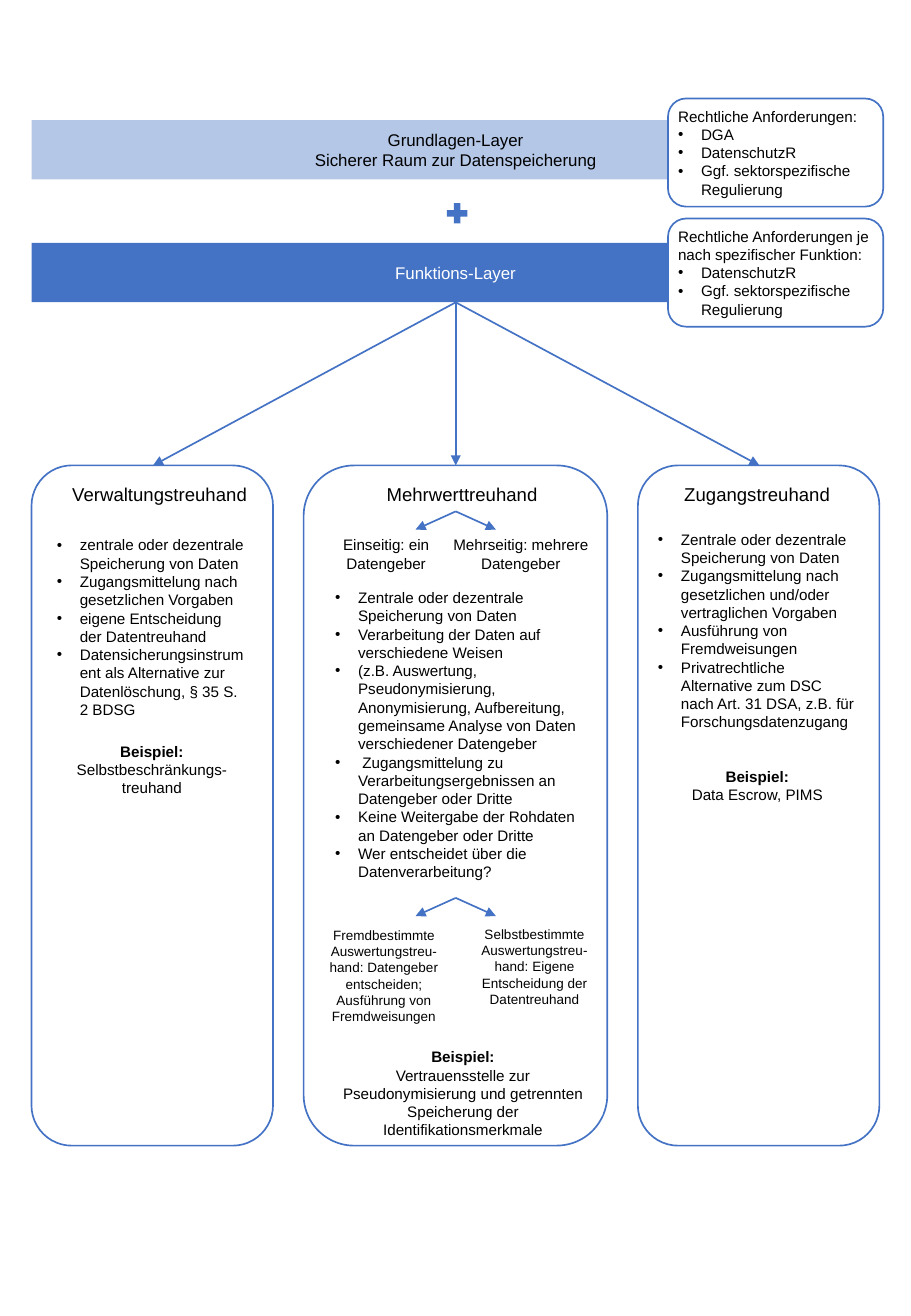
from dataclasses import dataclass
from typing import Optional

from lxml import etree
from pptx import Presentation
from pptx.dml.color import RGBColor
from pptx.enum.shapes import MSO_CONNECTOR, MSO_SHAPE
from pptx.enum.text import MSO_ANCHOR, PP_ALIGN
from pptx.oxml.ns import qn
from pptx.util import Cm, Pt

ROUNDED, RECTANGLE, PLUS = MSO_SHAPE.ROUNDED_RECTANGLE, MSO_SHAPE.RECTANGLE, MSO_SHAPE.MATH_PLUS
STRAIGHT = MSO_CONNECTOR.STRAIGHT
LEFT, CENTER = PP_ALIGN.LEFT, PP_ALIGN.CENTER
TOP, MIDDLE = MSO_ANCHOR.TOP, MSO_ANCHOR.MIDDLE

BLUE, LIGHT_BLUE, WHITE, BLACK = "4472C4", "B4C7E7", "FFFFFF", "000000"
FONT = "Arial"
INDENT = Cm(0.48)
MID_X = 9.53
CARD_TOP = 9.73
TITLE_TOP = 9.96


@dataclass
class Run:
    text: str
    bold: bool = False


@dataclass
class Para:
    runs: list[Run]
    align: PP_ALIGN = CENTER
    bullet: bool = False
    before: float = 0
    after: float = 0


@dataclass
class Box:
    """Area is left, top, width, height in cm; no shape means a text box."""
    area: tuple[float, float, float, float]
    paras: list[Para]
    size: float = 9
    color: str = BLACK
    shape: Optional[MSO_SHAPE] = None
    fill: str = WHITE
    outline: Optional[str] = None
    anchor: MSO_ANCHOR = TOP
    insets: tuple[float, float, float, float] = (0.25, 0.13, 0.25, 0.13)


@dataclass
class Arrows:
    """Arrows that fan out from one point to several ends, in cm."""
    start: tuple[float, float]
    end_xs: list[float]
    end_y: float


def rgb(color: str) -> RGBColor:
    return RGBColor.from_string(color)


def centered(text: str, after: float = 0) -> list[Para]:
    return [Para([Run(text)], after=after)]


def bullets(*items: str) -> list[Para]:
    return [Para([Run(item)], LEFT, bullet=True) for item in items]


def requirements(top: float, heading: str, *items: str) -> Box:
    return Box((13.97, top, 4.5, 2.26), [Para([Run(heading)], LEFT), *bullets(*items)],
               shape=ROUNDED, outline=BLUE, anchor=MIDDLE, insets=(0.1, 0, 0, 0))


def layer(top: float, text: str, fill: str, color: str) -> Box:
    return Box((0.66, top, 17.73, 1.24), centered(text, after=10), 10, color,
               RECTANGLE, fill, anchor=MIDDLE)


def card(left: float, width: float) -> Box:
    return Box((left, CARD_TOP, width, 14.22), [], shape=ROUNDED, outline=BLUE)


def title(left: float, width: float, text: str) -> Box:
    return Box((left, TITLE_TOP, width, 1.32), centered(text), 11)


def fork(top: float) -> Arrows:
    return Arrows((MID_X, top), [MID_X - 0.84, MID_X + 0.84], top + 0.38)


def add_paragraph(paragraph, para: Para, size: float, color: str) -> None:
    paragraph.alignment = para.align
    paragraph.space_before, paragraph.space_after = Pt(para.before), Pt(para.after)
    if para.bullet:
        props = paragraph._p.get_or_add_pPr()
        props.set("marL", str(INDENT))
        props.set("indent", str(-INDENT))
        etree.SubElement(props, qn("a:buFont")).set("typeface", FONT)
        etree.SubElement(props, qn("a:buChar")).set("char", "•")
    for part in para.runs:
        for number, line in enumerate(part.text.split("\n")):
            if number:
                paragraph.add_line_break()
            run = paragraph.add_run()
            run.text = line
            run.font.name, run.font.size, run.font.bold = FONT, Pt(size), part.bold
            run.font.color.rgb = rgb(color)


def draw_box(shapes, box: Box) -> None:
    area = [Cm(length) for length in box.area]
    if box.shape is None:
        drawn = shapes.add_textbox(*area)
    else:
        drawn = shapes.add_shape(box.shape, *area)
        drawn.shadow.inherit = False
        drawn.fill.solid()
        drawn.fill.fore_color.rgb = rgb(box.fill)
        if box.outline:
            drawn.line.color.rgb = rgb(box.outline)
            drawn.line.width = Pt(1)
        else:
            drawn.line.fill.background()
    frame = drawn.text_frame
    frame.word_wrap = True
    frame.vertical_anchor = box.anchor
    (frame.margin_left, frame.margin_top,
     frame.margin_right, frame.margin_bottom) = [Cm(inset) for inset in box.insets]
    for number, para in enumerate(box.paras):
        paragraph = frame.add_paragraph() if number else frame.paragraphs[0]
        add_paragraph(paragraph, para, box.size, box.color)


def draw_arrows(shapes, arrows: Arrows) -> None:
    start_x, start_y = arrows.start
    for end_x in arrows.end_xs:
        arrow = shapes.add_connector(STRAIGHT, Cm(start_x), Cm(start_y), Cm(end_x), Cm(arrows.end_y))
        arrow.line.color.rgb = rgb(BLUE)
        arrow.line.width = Pt(1)
        etree.SubElement(arrow.line._get_or_add_ln(), qn("a:tailEnd")).set("type", "triangle")
        etree.SubElement(arrow._element.spPr, qn("a:effectLst"))


BOXES = [
    card(13.34, 5.05), card(6.35, 6.35), card(0.66, 5.05),
    layer(2.51, "Grundlagen-Layer\nSicherer Raum zur Datenspeicherung", LIGHT_BLUE, BLACK),
    layer(5.08, "Funktions-Layer", BLUE, WHITE),
    title(0.94, 4.8, "Verwaltungstreuhand"),
    title(7.19, 4.95, "Mehrwerttreuhand"),
    title(13.84, 3.99, "Zugangstreuhand"),
    Box((0.94, 11.07, 4.47, 8.48), [
        *bullets("zentrale oder dezentrale Speicherung von Daten",
                 "Zugangsmittelung nach gesetzlichen Vorgaben",
                 "eigene Entscheidung der Datentreuhand",
                 "Datensicherungsinstrument als Alternative zur Datenlöschung, § 35 S. 2 BDSG"),
        Para([Run("Beispiel:", True), Run(" Selbstbeschränkungs-treuhand")], before=14)]),
    Box((13.51, 10.95, 4.65, 7.42), [
        *bullets("Zentrale oder dezentrale Speicherung von Daten",
                 "Zugangsmittelung nach gesetzlichen und/oder vertraglichen Vorgaben",
                 "Ausführung von Fremdweisungen",
                 "Privatrechtliche Alternative zum DSC nach Art. 31 DSA, z.B. für Forschungsdatenzugang"),
        Para([Run("Beispiel:", True)], before=21.5),
        *centered("Data Escrow, PIMS")]),
    Box((6.83, 11.07, 2.49, 1.24), centered("Einseitig: ein Datengeber")),
    Box((9.19, 11.07, 3.4, 1.24), centered("Mehrseitig: mehrere Datengeber")),
    Box((6.76, 12.17, 5.56, 6.73), bullets(
        "Zentrale oder dezentrale Speicherung von Daten",
        "Verarbeitung der Daten auf verschiedene Weisen",
        "(z.B. Auswertung, Pseudonymisierung, Anonymisierung, Aufbereitung, "
        "gemeinsame Analyse von Daten verschiedener Datengeber",
        " Zugangsmittelung zu Verarbeitungsergebnissen an Datengeber oder Dritte",
        "Keine Weitergabe der Rohdaten an Datengeber oder Dritte",
        "Wer entscheidet über die Datenverarbeitung?")),
    requirements(2.06, "Rechtliche Anforderungen:",
                 "DGA", "DatenschutzR", "Ggf. sektorspezifische Regulierung"),
    requirements(4.57, "Rechtliche Anforderungen je nach spezifischer Funktion:",
                 "DatenschutzR", "Ggf. sektorspezifische Regulierung"),
    Box((6.76, 19.25, 2.79, 2.72), centered(
        "Fremdbestimmte Auswertungstreu-hand: Datengeber entscheiden; "
        "Ausführung von Fremdweisungen"), 8, shape=RECTANGLE, insets=(0, 0.13, 0.25, 0.13)),
    Box((9.73, 19.23, 2.9, 2.44), centered(
        "Selbstbestimmte Auswertungstreu-hand: Eigene Entscheidung der Datentreuhand"),
        8, shape=RECTANGLE),
    Box((6.76, 21.77, 5.84, 1.55), [
        Para([Run("Beispiel:", True)]),
        *centered("Vertrauensstelle zur Pseudonymisierung und getrennten Speicherung "
                  "der Identifikationsmerkmale")], shape=RECTANGLE),
    Box((9.27, 4.17, 0.58, 0.58), [], shape=PLUS, fill=BLUE),
]
ARROWS = [Arrows((MID_X, 6.32), [3.2, MID_X, 15.88], CARD_TOP), fork(10.69), fork(18.77)]


def main() -> None:
    deck = Presentation()
    deck.slide_width, deck.slide_height = Cm(19.05), Cm(27.51)
    shapes = deck.slides.add_slide(deck.slide_layouts[6]).shapes
    for box in BOXES:
        draw_box(shapes, box)
    for arrows in ARROWS:
        draw_arrows(shapes, arrows)
    deck.save("out.pptx")


if __name__ == "__main__":
    main()
